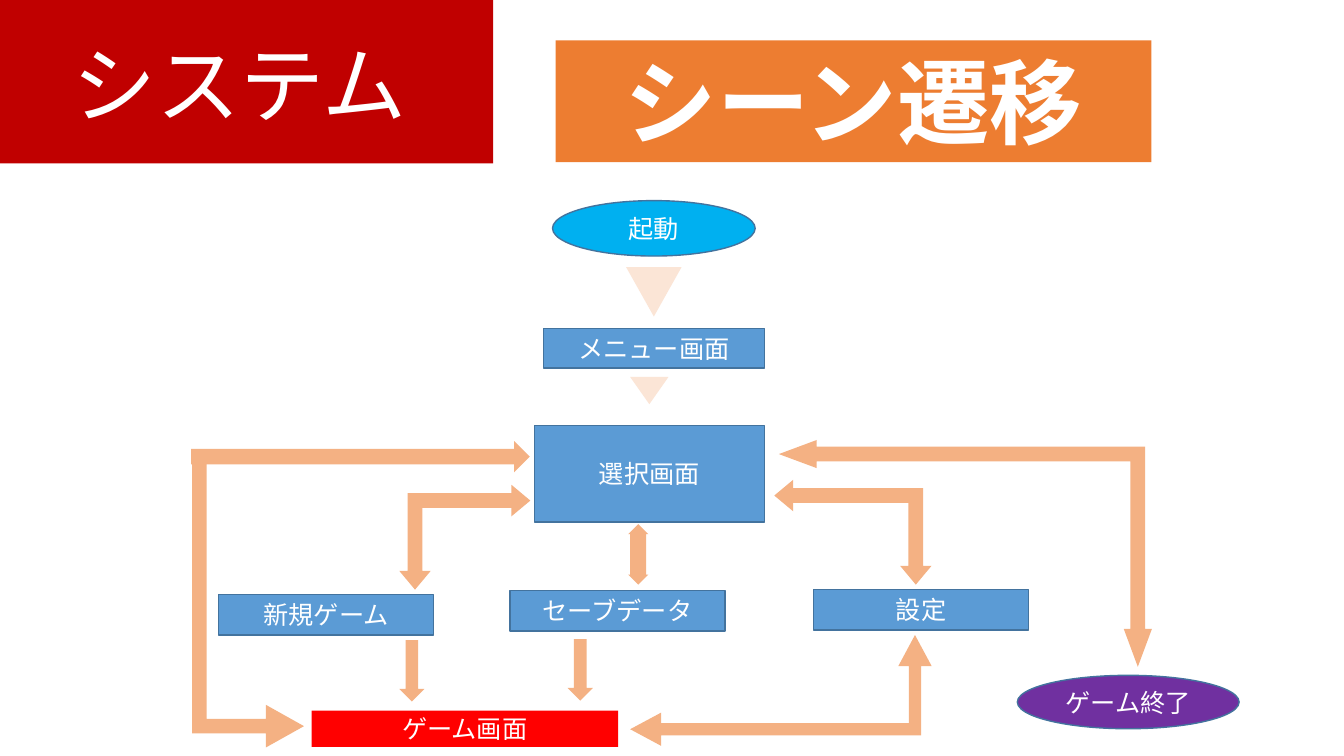
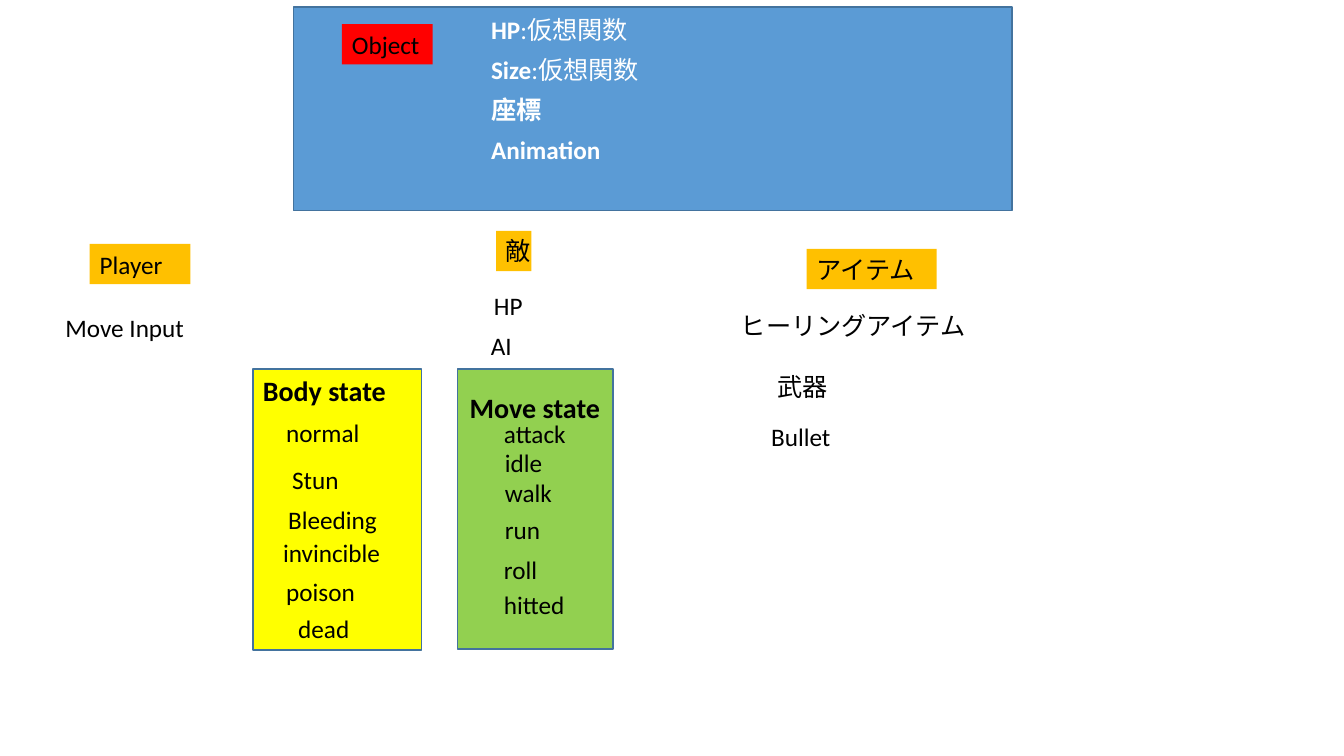
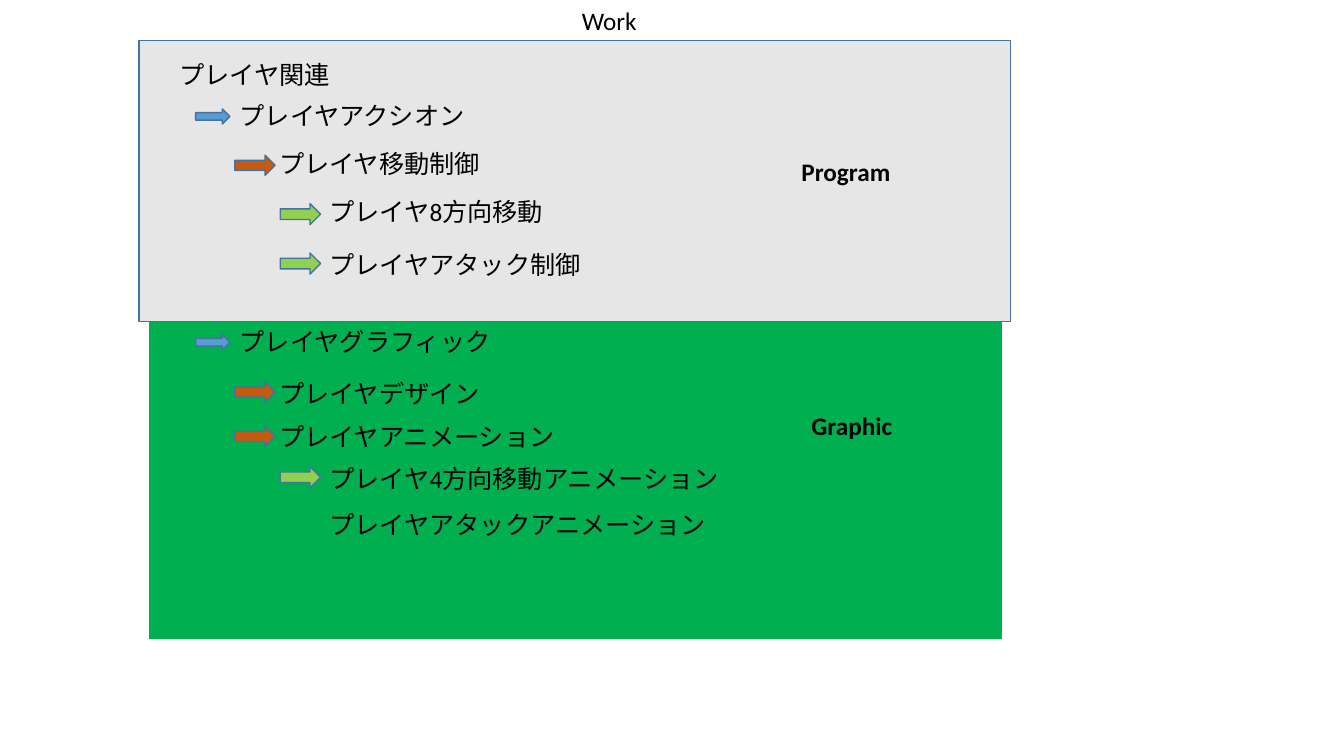
"""Build three slides on a game's scene flow, object model and work plan."""
from dataclasses import dataclass

from pptx import Presentation
from pptx import util as u
from pptx.dml import color
from pptx.enum import shapes as s
from pptx.enum import text as t
from pptx.oxml import ns

SCALE = 9144
KIND = s.MSO_SHAPE
TITLE_ONLY, TITLE_AND_BODY = 5, 1


@dataclass(frozen=True)
class Theme:
    """Colours, type sizes and font shared by all slides."""
    font: str = "Calibri"
    white: str = "FFFFFF"
    black: str = "000000"
    blue: str = "5B9BD5"
    outline: str = "43739E"
    dark_red: str = "C00000"
    red: str = "FF0000"
    orange: str = "ED7D31"
    arrow: str = "F4B183"
    pale: str = "FBE5D6"
    sky: str = "00B0F0"
    purple: str = "7030A0"
    amber: str = "FFC000"
    yellow: str = "FFFF00"
    lime: str = "92D050"
    green: str = "00B050"
    grey: str = "E7E6E6"
    rust: str = "C55A11"
    body: int = 18
    heading: int = 20
    title: int = 60
    banner: int = 66


THEME = Theme()


def rgb(value):
    """Return a colour from its hex value."""
    return color.RGBColor.from_string(value)


def format_text(shape, ink, size=THEME.body, bold=False,
                align=t.PP_ALIGN.LEFT, anchor=t.MSO_ANCHOR.TOP):
    """Give all text of a shape one look."""
    frame = shape.text_frame
    frame.word_wrap = True
    frame.auto_size = t.MSO_AUTO_SIZE.NONE
    frame.vertical_anchor = anchor
    for paragraph in frame.paragraphs:
        paragraph.alignment = align
        for run in paragraph.runs:
            run.font.name = THEME.font
            run.font.size = u.Pt(size)
            run.font.bold = bold
            run.font.color.rgb = rgb(ink)


class Region:
    """A part of a slide whose contents are placed from its top left corner."""

    def __init__(self, slide, left=0, top=0):
        """Remember the slide and the corner."""
        self.slide, self.left, self.top = slide, left, top

    def frame(self, box):
        """Turn a box in px into slide lengths."""
        left, top, width, height = box
        return [u.Emu(value * SCALE) for value in
                (self.left + left, self.top + top, width, height)]

    def shape(self, kind, box, fill, line=None, rotation=0, adjust=()):
        """Draw a preset shape."""
        shape = self.slide.shapes.add_shape(kind, *self.frame(box))
        shape.shadow.inherit = False
        shape.rotation = rotation
        shape.fill.solid()
        shape.fill.fore_color.rgb = rgb(fill)
        if line:
            shape.line.color.rgb = rgb(line)
            shape.line.width = u.Pt(1)
        else:
            shape.line.fill.background()
        for index, value in enumerate(adjust):
            shape.adjustments[index] = value
        return shape

    def node(self, text, box, fill=THEME.blue, line=THEME.outline, kind=KIND.RECTANGLE):
        """Draw a shape with a centred white label."""
        shape = self.shape(kind, box, fill, line)
        shape.text_frame.text = text
        format_text(shape, THEME.white, align=t.PP_ALIGN.CENTER,
                    anchor=t.MSO_ANCHOR.MIDDLE)

    def label(self, text, left, top, size=THEME.body, bold=False):
        """Write one line of black text."""
        shape = self.slide.shapes.add_textbox(*self.frame((left, top, 440, 40)))
        shape.text_frame.text = text
        format_text(shape, THEME.black, size, bold)

    def placeholder(self, shape, box):
        """Move a placeholder into the region and to the front."""
        shape.left, shape.top, shape.width, shape.height = self.frame(box)
        shape.element.getparent().append(shape.element)
        return shape

    def title(self, text, box, ink=THEME.black, size=THEME.body):
        """Fill and move the title placeholder."""
        shape = self.placeholder(self.slide.shapes.title, box)
        shape.text_frame.text = text
        format_text(shape, ink, size)
        return shape


def system_header(region):
    """Draw the red title panel and the orange banner."""
    region.shape(KIND.RECTANGLE, (0, 0, 489, 162), THEME.dark_red)
    region.title("システム", (62, 27, 400, 111), THEME.white, THEME.title)
    banner = region.shape(KIND.RECTANGLE, (551, 40, 591, 121), THEME.orange)
    banner.text_frame.text = "シーン遷移"
    format_text(banner, THEME.white, THEME.banner, True, t.PP_ALIGN.CENTER)


def scene_flow(region):
    """Draw the scenes and the arrows between them."""
    for text, box in (
            ("メニュー画面", (349, 136, 219, 39)),
            ("選択画面", (340, 232, 228, 96)),
            ("新規ゲーム", (27, 400, 213, 40)),
            ("セーブデータ", (316, 396, 213, 40)),
            ("設定", (617, 395, 213, 40))):
        region.node(text, box)
    region.node("起動", (358, 9, 201, 55), THEME.sky, kind=KIND.OVAL)
    region.node("ゲーム画面", (119, 515, 304, 36), THEME.red, None)
    region.node("ゲーム終了", (819, 480, 220, 53), THEME.purple, kind=KIND.OVAL)
    for box in ((431, 75, 55, 49), (435, 184, 38, 27)):
        region.shape(KIND.ISOSCELES_TRIANGLE, box, THEME.pale, rotation=180)
    for kind, box, rotation, adjust in (
            (KIND.LEFT_UP_ARROW, (206, 291, 130, 104), 180, (0.14, 0.15, 0.18)),
            (KIND.LEFT_UP_ARROW, (604, 260, 104, 156), 270, (0.14, 0.15, 0.18)),
            (KIND.LEFT_UP_ARROW, (655, 174, 225, 370), 270, (0.065, 0.062, 0.167)),
            (KIND.LEFT_UP_ARROW, (435, 440, 299, 110), 0, (0.11, 0.15, 0.28)),
            (KIND.BENT_UP_ARROW, (-85, 355, 282, 111), 90, (0.13, 0.19, 0.34)),
            (KIND.DOWN_ARROW, (206, 445, 25, 61), 0, ()),
            (KIND.DOWN_ARROW, (373, 444, 25, 61), 0, ()),
            (KIND.DOWN_ARROW, (152, 95, 31, 336), 270, ()),
            (KIND.UP_DOWN_ARROW, (433, 330, 20, 60), 0, (0.36, 0.79))):
        region.shape(kind, box, THEME.arrow, rotation=rotation, adjust=adjust)


def base_object(region):
    """Draw the base class panel with its title and member list."""
    region.shape(KIND.RECTANGLE, (0, 0, 713, 202), THEME.blue, THEME.outline)
    title = region.title("Object", (48, 17, 90, 40))
    title.fill.solid()
    title.fill.fore_color.rgb = rgb(THEME.red)
    members = region.placeholder(region.slide.placeholders[1], (186, -7, 300, 180))
    members.text_frame.text = "HP\nSize\n座標\nAnimation"
    format_text(members, THEME.white, bold=True)
    for index, paragraph in enumerate(members.text_frame.paragraphs):
        paragraph.space_before = u.Pt(0)
        paragraph.line_spacing = u.Pt(28.5)
        properties = paragraph._p.get_or_add_pPr()
        properties.set("marL", "0")
        properties.set("indent", "0")
        properties.append(properties.makeelement(ns.qn("a:buNone"), {}))
        if index < 2:
            run = paragraph.add_run()
            run.text = ":仮想関数"
            run.font.name = THEME.font
            run.font.size = u.Pt(THEME.body)
            run.font.bold = False
            run.font.color.rgb = rgb(THEME.white)


def derived_class(region, name, tag_left, tag_width, members):
    """Draw an amber class tag with the members below it."""
    tag = region.shape(KIND.RECTANGLE, (tag_left, 0, tag_width, 40), THEME.amber)
    tag.text_frame.text = name
    format_text(tag, THEME.black)
    for text, left, top in members:
        region.label(text, left, top)


def state_panel(region, name, size, fill, name_at, states):
    """Draw a coloured panel that lists states."""
    region.shape(KIND.RECTANGLE, (0, 0, *size), fill, THEME.outline)
    region.label(name, *name_at, THEME.heading, True)
    for text, left, top in states:
        region.label(text, left, top)


def work_panel(region, size, fill, line, name, name_at, tasks):
    """Draw a work area with its name and its indented tasks."""
    levels = {1: (90, 56, 34, 15, THEME.blue),
              2: (129, 95, 40, 20, THEME.rust),
              3: (179, 140, 40, 21, THEME.lime)}
    region.shape(KIND.RECTANGLE, (0, 0, *size), fill, line)
    region.label(name, *name_at, bold=True)
    for level, top, text, arrow_drop in tasks:
        text_left, arrow_left, width, height, arrow_fill = levels[level]
        region.label(text, text_left, top)
        if arrow_drop:
            region.shape(KIND.RIGHT_ARROW, (arrow_left, top + arrow_drop, width, height),
                         arrow_fill, THEME.outline)


def scene_slide(slide):
    """Build the scene transition slide."""
    system_header(Region(slide))
    scene_flow(Region(slide, 190, 190))


def object_slide(slide):
    """Build the object model slide."""
    base_object(Region(slide, 291, 7))
    derived_class(Region(slide, 55, 242), "Player", 34, 100, [("Move Input", 0, 63)])
    derived_class(Region(slide, 477, 229), "敵", 15, 35, [("HP", 3, 54), ("AI", 0, 94)])
    derived_class(Region(slide, 725, 247), "アイテム", 75, 129, [
        ("ヒーリングアイテム", 0, 56), ("武器", 36, 116), ("Bullet", 30, 166)])
    state_panel(Region(slide, 251, 366), "Body state", (167, 279), THEME.yellow, (0, 0), [
        ("normal", 23, 43), ("Stun", 29, 90), ("Bleeding", 25, 129),
        ("invincible", 20, 162), ("poison", 23, 201), ("dead", 35, 238)])
    state_panel(Region(slide, 454, 366), "Move state", (154, 278), THEME.lime, (2, 16), [
        ("attack", 36, 44), ("idle", 37, 73), ("walk", 37, 103),
        ("run", 37, 139), ("roll", 36, 179), ("hitted", 36, 214)])


def work_slide(slide):
    """Build the work plan slide."""
    Region(slide).title("Work", (567, 0, 98, 40))
    work_panel(Region(slide, 147, 319), (848, 316), THEME.green, THEME.white,
               "Graphic", (648, 83), [])
    work_panel(Region(slide, 138, 40), (864, 279), THEME.grey, THEME.outline,
               "Program", (647, 110), [
                   (1, 55, "プレイヤアクシオン", 13),
                   (2, 102, "プレイヤ移動制御", 12),
                   (3, 150, "プレイヤ8方向移動", 12),
                   (3, 202, "プレイヤアタック制御", 9),
                   (1, 279, "プレイヤグラフィック", 13),
                   (2, 330, "プレイヤデザイン", 9),
                   (2, 373, "プレイヤアニメーション", 10),
                   (3, 415, "プレイヤ4方向移動アニメーション", 8),
                   (3, 460, "プレイヤアタックアニメーション", None)])
    Region(slide, 138, 40).label("プレイヤ関連", 30, 14)


def main():
    """Build and save the presentation."""
    presentation = Presentation()
    presentation.slide_width = u.Emu(1333 * SCALE)
    presentation.slide_height = u.Emu(750 * SCALE)
    for build, layout in ((scene_slide, TITLE_ONLY), (object_slide, TITLE_AND_BODY),
                          (work_slide, TITLE_ONLY)):
        build(presentation.slides.add_slide(presentation.slide_layouts[layout]))
    presentation.save("out.pptx")


if __name__ == "__main__":
    main()
